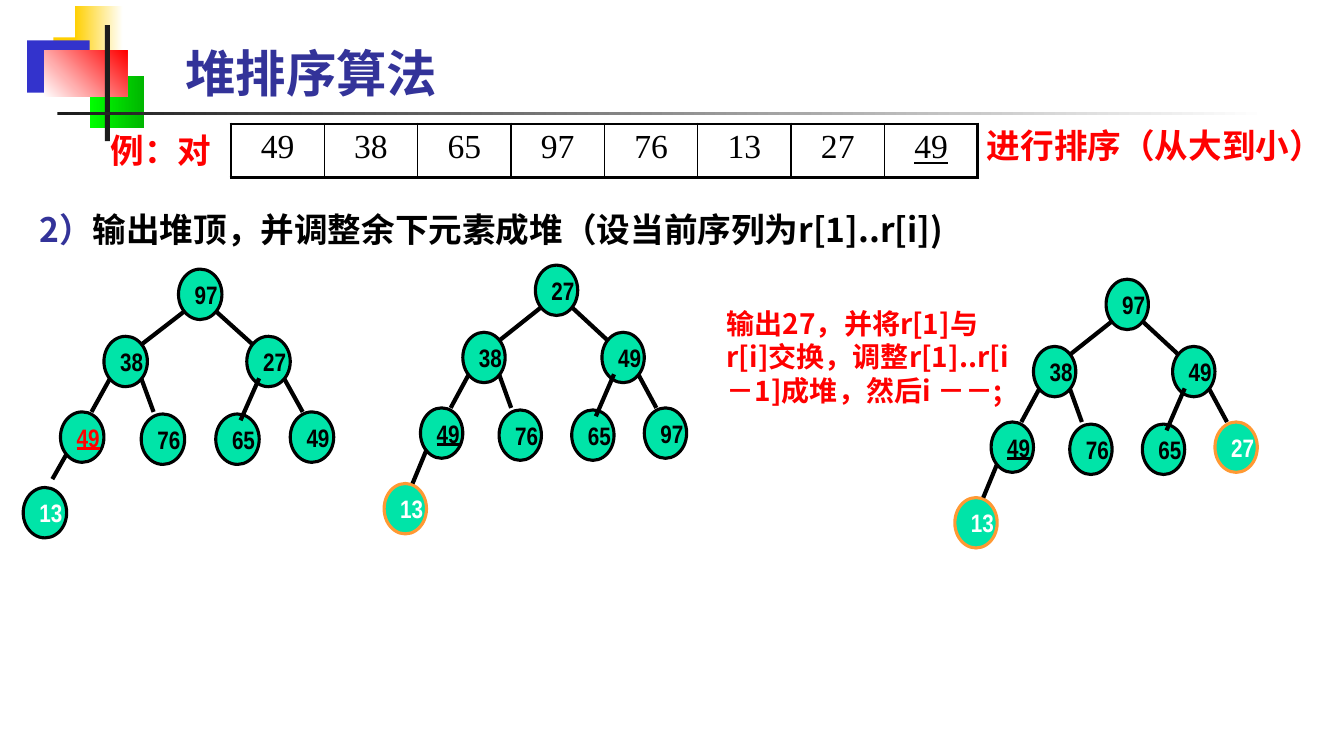
from lxml.etree import SubElement
from pptx import Presentation
from pptx.dml.color import RGBColor
from pptx.enum.shapes import MSO_CONNECTOR, MSO_SHAPE
from pptx.enum.text import MSO_ANCHOR, PP_ALIGN
from pptx.oxml import parse_xml
from pptx.oxml.ns import nsdecls, qn
from pptx.util import Inches, Pt

BLACK = RGBColor(0x00, 0x00, 0x00)
WHITE = RGBColor(0xFF, 0xFF, 0xFF)
RED = RGBColor(0xFF, 0x00, 0x00)
ORANGE = RGBColor(0xFF, 0x99, 0x33)
NAVY = RGBColor(0x33, 0x33, 0x99)
BLUE = RGBColor(0x33, 0x33, 0xCC)
GOLD = RGBColor(0xFF, 0xCF, 0x01)
LIME = RGBColor(0x00, 0xFF, 0x00)
GREEN = RGBColor(0x00, 0xB6, 0x00)
CHARCOAL = RGBColor(0x1C, 0x1C, 0x1C)
MINT = RGBColor(0x00, 0xE4, 0xA8)

NARROW, SERIF, CHINESE = "Arial Narrow", "Times New Roman", "Noto Sans CJK SC"
GRID = Inches(0.1)  # side of one square of the slide grid

# A heap is laid out on its own grid: 50 columns wide, 12 rows to the inch
HEAP_COLUMNS, HEAP_ROW = 50, 10 / 12
NODE_COLUMNS, NODE_ROWS = 7, 6
NODE_PLACES = [(25, 0), (13, 8), (36, 8), (6, 17), (19, 17.25),
               (31, 17.25), (43, 17), (0, 26)]
EDGES = [((26, 5), (19, 9)), ((31, 5), (37, 9)), ((14, 13), (11, 17)),
         ((19, 13), (21, 17)), ((38, 13), (35, 18)), ((42, 13), (45, 17))]


class SlideBuilder:
    """Holds the slide and its style; lengths are in grid squares."""

    def __init__(self, slide):
        self.slide = slide

    def lengths(self, *squares):
        return [round(square * GRID) for square in squares]

    def style(self, run, size, color, font=NARROW, bold=True, underline=False):
        run.font.size, run.font.name = Pt(size), font
        run.font.bold = bold
        run.font.color.rgb = color
        if underline:
            run.font.underline = True
        SubElement(run.font._element, qn("a:ea")).set("typeface", CHINESE)

    def block(self, box, start, end=None, angle=0):
        shape = self.slide.shapes.add_shape(MSO_SHAPE.RECTANGLE, *self.lengths(*box))
        shape.shadow.inherit = False
        shape.line.fill.background()
        if end is None:
            shape.fill.solid()
            shape.fill.fore_color.rgb = start
            return
        shape.fill.gradient()
        shape.fill.gradient_angle = angle
        for stop, color in zip(shape.fill.gradient_stops, (start, end)):
            stop.color.rgb = color

    def text(self, box, pieces, size, font=NARROW):
        frame = self.slide.shapes.add_textbox(*self.lengths(*box)).text_frame
        frame.word_wrap = True
        for words, color in pieces:
            run = frame.paragraphs[0].add_run()
            run.text = words
            self.style(run, size, color, font)

    def border(self, cell, side, index, width):
        line = parse_xml(
            f'<a:{side} {nsdecls("a")} w="{Pt(width)}"><a:solidFill>'
            f'<a:srgbClr val="{BLACK}"/></a:solidFill></a:{side}>')
        cell._tc.get_or_add_tcPr().insert(index, line)

    def number_row(self, box, numbers, underlined):
        frame = self.slide.shapes.add_table(1, len(numbers), *self.lengths(*box))
        table = frame.table
        table.first_row = table.horz_banding = False
        last = len(numbers) - 1
        for position, number in enumerate(numbers):
            cell = table.cell(0, position)
            cell.fill.background()
            widths = {"lnL": 1 if position else 2.25,
                      "lnR": 1 if position < last else 2.25,
                      "lnT": 2.25, "lnB": 2.25}
            for index, (side, width) in enumerate(widths.items()):
                self.border(cell, side, index, width)
            paragraph = cell.text_frame.paragraphs[0]
            paragraph.text = number
            paragraph.alignment = PP_ALIGN.CENTER
            self.style(paragraph.runs[0], 24, BLACK, SERIF, False,
                       position in underlined)

    def node(self, shapes, box, number, color, outline, underline):
        shape = shapes.add_shape(MSO_SHAPE.OVAL, *self.lengths(*box))
        shape.shadow.inherit = False
        shape.fill.solid()
        shape.fill.fore_color.rgb = MINT
        shape.line.color.rgb = outline
        shape.line.width = Pt(2.25)
        frame = shape.text_frame
        frame.word_wrap = False
        frame.vertical_anchor = MSO_ANCHOR.MIDDLE
        frame.text = number
        frame.paragraphs[0].alignment = PP_ALIGN.LEFT
        self.style(frame.paragraphs[0].runs[0], 18, color, underline=underline)

    def edge(self, shapes, start, end):
        line = shapes.add_connector(MSO_CONNECTOR.STRAIGHT,
                                    *self.lengths(*start, *end))
        line.line.color.rgb = BLACK
        line.line.width = Pt(3)
        SubElement(line._element.spPr, qn("a:effectLst"))

    def heap(self, left, top, width, numbers, special, last_edge_row=26):
        """special maps a node position to (text colour, outline, underline)."""
        shapes = self.slide.shapes.add_group_shape().shapes
        column = width / HEAP_COLUMNS

        def place(point):
            return left + point[0] * column, top + point[1] * HEAP_ROW

        size = NODE_COLUMNS * column, NODE_ROWS * HEAP_ROW
        for position, (number, point) in enumerate(zip(numbers, NODE_PLACES)):
            looks = special.get(position, (BLACK, BLACK, False))
            self.node(shapes, (*place(point), *size), number, *looks)
        for start, end in EDGES + [((7, 22), (4.7, last_edge_row))]:
            self.edge(shapes, place(start), place(end))


presentation = Presentation()
presentation.slide_width, presentation.slide_height = Inches(13.33), Inches(7.5)
builder = SlideBuilder(presentation.slides.add_slide(presentation.slide_layouts[6]))

# Corner decoration and title rule
builder.block((5.3, 3.7, 6.4, 5.2), GOLD)
builder.block((7.4, 0.6, 4.8, 5.2), GOLD, WHITE)
builder.block((2.7, 4, 6.2, 5.2), BLUE)
builder.block((8.9, 7.5, 5.4, 5.2), LIME, GREEN)
builder.block((4.4, 5, 8.2, 4.6), WHITE, RED, angle=45)
builder.block((10.4, 2.5, 0.5, 11.5), CHARCOAL)
builder.block((5.7, 11.1, 120, 0.35), CHARCOAL, WHITE)

# Title and the numbers to sort
builder.text((17.4, 3.7, 49, 7.1), [("堆排序算法", NAVY)], 36)
builder.number_row((22.9, 12.3, 74.1, 5.3),
                   ["49", "38", "65", "97", "76", "13", "27", "49"], {7})

# Step heading and the words around the numbers
builder.text((2.9, 20.2, 95.8, 5),
             [("2）", NAVY), ("输出堆顶，并调整余下元素成堆（设当前序列为r[1]..r[i])", BLACK)],
             24, CHINESE)
builder.text((10, 12.4, 16.9, 5), [("例：对", RED)], 24)
builder.text((96.9, 11.9, 36.4, 5), [("进行排序（从大到小）", RED)], 24)

# Heaps before the output, after the swap and after the adjustment
removed = (WHITE, ORANGE, False)
second_49 = (BLACK, BLACK, True)
builder.heap(2.3, 26.7, 30.8, ["97", "38", "27", "49", "76", "65", "49", "13"],
             {3: (RED, BLACK, True), 7: (WHITE, BLACK, False)}, last_edge_row=25)
builder.heap(38.1, 26.3, 30, ["27", "38", "49", "49", "76", "65", "97", "13"],
             {3: second_49, 7: removed})
builder.text((71.1, 29.9, 30.3, 14.5),
             [("输出27，并将r[1]与r[i]交换，调整r[1]..r[i－1]成堆，然后i －－;", RED)],
             20, CHINESE)
builder.heap(94.7, 27.7, 30, ["97", "38", "49", "49", "76", "65", "27", "13"],
             {3: second_49, 6: removed, 7: removed})

presentation.save("out.pptx")
